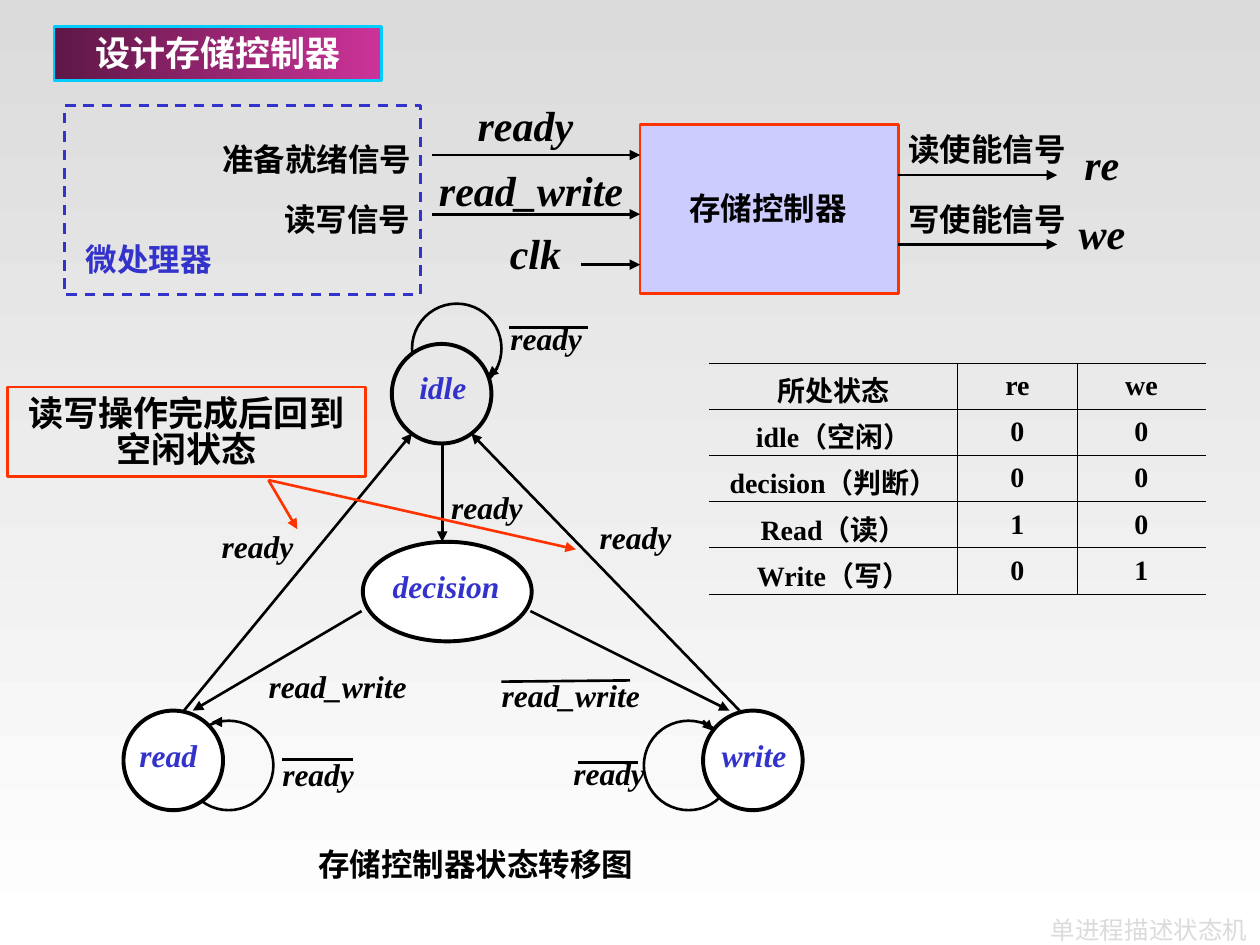
from dataclasses import dataclass

from lxml import etree
from pptx import Presentation
from pptx.dml.color import RGBColor
from pptx.enum.dml import MSO_LINE
from pptx.enum.shapes import MSO_CONNECTOR, MSO_SHAPE
from pptx.enum.text import MSO_ANCHOR, PP_ALIGN
from pptx.oxml.ns import qn
from pptx.util import Inches, Pt

RECTANGLE, OVAL = MSO_SHAPE.RECTANGLE, MSO_SHAPE.OVAL
STRAIGHT, DASH = MSO_CONNECTOR.STRAIGHT, MSO_LINE.DASH
TOP, MIDDLE = MSO_ANCHOR.TOP, MSO_ANCHOR.MIDDLE
CENTER, RIGHT = PP_ALIGN.CENTER, PP_ALIGN.RIGHT


@dataclass(frozen=True)
class Theme:
    font: str = "Times New Roman"
    black: str = "000000"
    white: str = "FFFFFF"
    gray: str = "DBDBDB"
    pale: str = "E8E8E8"
    blue: str = "3333CC"
    lavender: str = "CCCCFF"
    red: str = "FF3300"
    cyan: str = "00CCFF"
    plum: str = "5E1746"
    magenta: str = "CC3399"
    signal: int = 24
    heading: int = 20
    label: int = 18
    table: int = 16
    small: int = 14
    hairline: float = 0.45
    thin: float = 1.5
    thick: float = 2.25


theme = Theme()


def write(frame, text, size=theme.label, color=theme.black, bold=True, italic=False,
          align=CENTER, anchor=TOP, spacing=0.85):
    frame.word_wrap = True
    frame.vertical_anchor = anchor
    paragraph = frame.paragraphs[0]
    paragraph.text = text
    paragraph.alignment = align
    paragraph.line_spacing = spacing
    paragraph.space_before = Pt(0)
    font = paragraph.runs[0].font
    font.name, font.size, font.bold, font.italic = theme.font, Pt(size), bold, italic
    font.color.rgb = RGBColor.from_string(color)


def connect(start, end, color=theme.black, arrow=True):
    connector = slide.shapes.add_connector(STRAIGHT, *map(Inches, start + end))
    connector.line.color.rgb = RGBColor.from_string(color)
    connector.line.width = Pt(theme.thin)
    if arrow:
        etree.SubElement(connector.line._ln, qn("a:tailEnd"), type="triangle")
    etree.SubElement(connector._element.spPr, qn("a:effectLst"))


presentation = Presentation()
presentation.slide_width, presentation.slide_height = Inches(10), Inches(7.5)
slide = presentation.slides.add_slide(presentation.slide_layouts[5])

background = slide.background.fill
background.gradient()
background.gradient_angle = 270
for stop, color in zip(background.gradient_stops, (theme.gray, theme.white)):
    stop.color.rgb = RGBColor.from_string(color)

title = slide.shapes.title
title.left, title.top, title.width, title.height = map(Inches, (8.11, 7.25, 1.89, 0.25))
write(title.text_frame, "单进程描述状态机", size=theme.small, color=theme.gray, bold=False,
      align=RIGHT, anchor=MIDDLE, spacing=1)

# Boxes, self-loops and states: preset, box, fill, line colour, line width, text
outlines = [
    (RECTANGLE, (0.43, 0.21, 2.6, 0.43), theme.plum, theme.cyan, theme.thin, "设计存储控制器"),
    (RECTANGLE, (0.06, 3.07, 2.84, 0.71), None, theme.red, theme.thin, "读写操作完成后回到空闲状态"),
    (RECTANGLE, (5.08, 0.99, 2.05, 1.34), theme.lavender, theme.red, theme.thin, None),
    (RECTANGLE, (0.51, 0.84, 2.83, 1.5), None, theme.blue, theme.thin, None),
]
for left, top in ((5.11, 5.72), (1.46, 5.72), (3.27, 2.41)):
    outlines.append((OVAL, (left, top, 0.71, 0.71), None, theme.black, theme.thin, None))
for left, top, width, fill in ((3.11, 2.73, 0.79, theme.pale), (0.98, 5.64, 0.79, theme.white),
                               (5.58, 5.64, 0.79, theme.white), (2.88, 4.3, 1.34, theme.white)):
    outlines.append((OVAL, (left, top, width, 0.79), fill, theme.black, theme.thick, None))

for preset, box, fill, line, width, text in outlines:
    shape = slide.shapes.add_shape(preset, *map(Inches, box))
    shape.shadow.inherit = False
    shape.line.color.rgb = RGBColor.from_string(line)
    shape.line.width = Pt(width)
    if line == theme.blue:
        shape.line.dash_style = DASH
    if fill == theme.plum:
        shape.fill.gradient()
        shape.fill.gradient_angle = 0
        for stop, color in zip(shape.fill.gradient_stops, (theme.plum, theme.magenta)):
            stop.color.rgb = RGBColor.from_string(color)
    elif fill:
        shape.fill.solid()
        shape.fill.fore_color.rgb = RGBColor.from_string(fill)
    else:
        shape.fill.background()
    if text:
        shape.text_frame.margin_top = Inches(0.09)
        write(shape.text_frame, text, size=theme.heading,
              color=theme.white if fill else theme.black)

# Labels: format, then text with left, top and width
label_groups = [
    (dict(), [
        ("存储控制器", 5.31, 1.46, 1.57), ("写使能信号", 7.05, 1.54, 1.57),
        ("读使能信号", 7.05, 0.99, 1.57), ("读写信号", 1.77, 1.54, 1.97),
        ("准备就绪信号", 1.53, 1.07, 1.97), ("存储控制器状态转移图", 2.24, 6.66, 3.07)]),
    (dict(color=theme.blue), [("微处理器", 0.43, 1.86, 1.5)]),
    (dict(size=theme.signal, italic=True), [
        ("re", 8.47, 1.07, 0.55), ("we", 8.39, 1.62, 0.71), ("clk", 3.66, 1.78, 1.18),
        ("ready", 3.58, 0.76, 1.18), ("read_write", 3.31, 1.28, 1.81)]),
    (dict(color=theme.blue, italic=True), [
        ("read", 0.98, 5.8, 0.71), ("write", 5.55, 5.8, 0.87),
        ("decision", 2.95, 4.46, 1.18), ("idle", 3.16, 2.88, 0.71)]),
    (dict(italic=True), [
        ("ready", 3.9, 2.49, 0.87), ("ready", 3.43, 3.83, 0.87), ("ready", 2.09, 5.95, 0.87),
        ("ready", 4.4, 5.94, 0.87), ("ready", 1.61, 4.14, 0.87), ("ready", 4.61, 4.07, 0.87),
        ("read_write", 2.01, 5.25, 1.34), ("read_write", 3.82, 5.32, 1.42)]),
]
for style, labels in label_groups:
    height = 0.48 if style.get("size") == theme.signal else 0.4
    for text, left, top, width in labels:
        frame = slide.shapes.add_textbox(*map(Inches, (left, top, width, height))).text_frame
        frame.margin_top = Inches(0.09)
        write(frame, text, **style)

signals = [
    ((7.13, 1.94), (8.39, 1.94)), ((7.13, 1.39), (8.39, 1.39)),
    ((4.61, 2.1), (5.08, 2.1)), ((3.43, 1.23), (5.08, 1.23)), ((3.43, 1.7), (5.08, 1.7)),
]
transitions = [
    ((1.46, 5.64), (3.27, 3.44)), ((5.87, 5.64), (3.74, 3.44)), ((3.51, 3.51), (3.51, 4.3)),
    ((2.87, 4.85), (1.53, 5.64)), ((4.21, 4.85), (5.79, 5.64)),
]
loop_heads = [
    ((1.76, 5.73), (1.68, 5.73)), ((3.95, 2.92), (3.87, 2.99)), ((5.58, 5.72), (5.66, 5.8)),
]
for start, end in signals + transitions + loop_heads:
    connect(start, end)

negation_bars = [
    ((4.04, 2.6), (4.67, 2.6)), ((4.59, 6.05), (5.06, 6.05)),
    ((3.98, 5.41), (5, 5.4)), ((2.24, 6.03), (2.8, 6.03)),
]
for start, end in negation_bars:
    connect(start, end, arrow=False)
for end in ((2.36, 4.2), (4.57, 4.36)):
    connect((2.13, 3.81), end, color=theme.red)

output_rows = [
    ("所处状态", "re", "we"),
    ("idle（空闲）", "0", "0"),
    ("decision（判断）", "0", "0"),
    ("Read（读）", "1", "0"),
    ("Write（写）", "0", "1"),
]
row_count, column_count = len(output_rows), len(output_rows[0])
table = slide.shapes.add_table(row_count, column_count,
                               *map(Inches, (5.63, 2.88, 3.94, 1.8))).table
table.first_row = table.horz_banding = False
for column, width in zip(table.columns, (1.97, 0.95, 1.02)):
    column.width = Inches(width)
for row, values in zip(table.rows, output_rows):
    row.height = Inches(0.36)
    for column_index, (cell, value) in enumerate(zip(row.cells, values)):
        write(cell.text_frame, value, size=theme.table, spacing=1)
        cell.vertical_anchor = MIDDLE
        borders = {
            "a:lnL": column_index > 0,
            "a:lnR": column_index < column_count - 1,
            "a:lnT": True,
            "a:lnB": True,
        }
        for side, visible in borders.items():
            border = etree.SubElement(cell._tc.get_or_add_tcPr(), qn(side),
                                      w=str(Pt(theme.hairline)))
            fill = etree.SubElement(border, qn("a:solidFill" if visible else "a:noFill"))
            if visible:
                etree.SubElement(fill, qn("a:srgbClr"), val=theme.black)
        cell.fill.background()

presentation.save("out.pptx")
